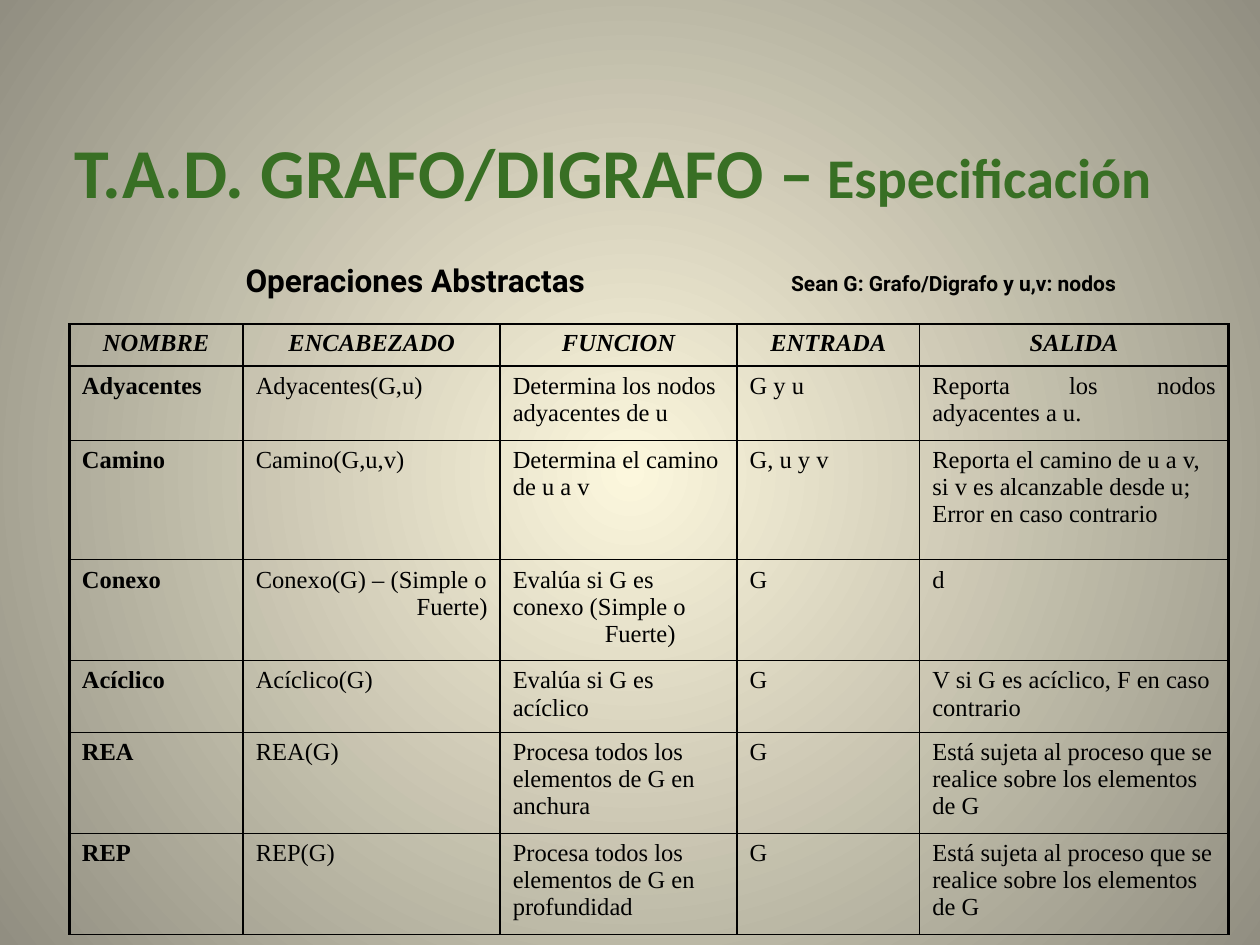
import pptx
import pptx.dml.color
import pptx.enum.text
import pptx.oxml
import pptx.oxml.ns
import pptx.util
import lxml.etree

Inches, Pt = pptx.util.Inches, pptx.util.Pt
RGBColor = pptx.dml.color.RGBColor
ALIGN = pptx.enum.text.PP_ALIGN
ANCHOR = pptx.enum.text.MSO_ANCHOR
qn = pptx.oxml.ns.qn

CREAM = RGBColor(0xFC, 0xF7, 0xDD)
STONE = RGBColor(0x91, 0x8E, 0x81)
GREEN = RGBColor(0x38, 0x6F, 0x24)
BLACK = RGBColor(0, 0, 0)

TITLE = [("T.A.D. GRAFO/DIGRAFO –", 40), (" Especificación", 32)]
SUBTITLE = [("Operaciones Abstractas", 18)]
PREMISE = [("Sean G: Grafo/Digrafo y u,v: nodos", 12)]

HEADINGS = ("NOMBRE", "ENCABEZADO", "FUNCION", "ENTRADA", "SALIDA")
OPERATIONS = [
    ("Adyacentes", "Adyacentes(G,u)", "Determina los nodos adyacentes de u",
     "G y u", "Reporta los nodos adyacentes a u."),
    ("Camino", "Camino(G,u,v)", "Determina el camino de u a v", "G, u y v",
     "Reporta el camino de u a v, si v es alcanzable desde u; Error en caso contrario"),
    ("Conexo", "Conexo(G) – (Simple o\nFuerte)",
     "Evalúa si G es conexo (Simple o\nFuerte)", "G", "d"),
    ("Acíclico", "Acíclico(G)", "Evalúa si G es acíclico", "G",
     "V si G es acíclico, F en caso contrario"),
    ("REA", "REA(G)", "Procesa todos los elementos de G en anchura", "G",
     "Está sujeta al proceso que se realice sobre los elementos de G"),
    ("REP", "REP(G)", "Procesa todos los elementos de G en profundidad", "G",
     "Está sujeta al proceso que se realice sobre los elementos de G"),
]
COLUMN_WIDTHS = (1.38, 2.04, 1.88, 1.45, 2.45)
ROW_HEIGHTS = (0.33, 0.59, 0.95, 0.8, 0.57, 0.8, 0.8)
JUSTIFIED_COLUMNS = (0, 1, 3)
JUSTIFIED_OUTPUT = (1, 4)
FUNCTION_INDENT = 0.73


def style(run, size, font, color, bold=True, italic=False):
    run.font.size = Pt(size)
    run.font.name = font
    run.font.color.rgb = color
    run.font.bold = bold
    run.font.italic = italic


def add_line(slide, box, pieces, font, color, inset=0.1, align=ALIGN.LEFT):
    frame = slide.shapes.add_textbox(*map(Inches, box)).text_frame
    frame.word_wrap = True
    frame.vertical_anchor = ANCHOR.MIDDLE
    frame.margin_left = frame.margin_right = Inches(inset)
    frame.margin_top = frame.margin_bottom = Inches(inset / 2)
    paragraph = frame.paragraphs[0]
    paragraph.alignment = align
    for text, size in pieces:
        run = paragraph.add_run()
        run.text = text
        style(run, size, font, color)


def paint_background(slide):
    fill = slide.background.fill
    fill.gradient()
    for stop, color in zip(fill.gradient_stops, (CREAM, STONE)):
        stop.color.rgb = color
    gradient = slide.element.find(".//" + qn("a:gradFill"))
    gradient.remove(gradient.find(qn("a:lin")))
    circle = lxml.etree.SubElement(gradient, qn("a:path"), {"path": "circle"})
    lxml.etree.SubElement(circle, qn("a:fillToRect"), dict.fromkeys("ltrb", "50000"))


def set_borders(cell, widths):
    properties = cell._tc.get_or_add_tcPr()
    for place, (side, width) in enumerate(widths.items()):
        border = pptx.oxml.parse_xml(
            f'<a:ln{side} {pptx.oxml.ns.nsdecls("a")} w="{Pt(width)}">'
            f'<a:solidFill><a:srgbClr val="{BLACK}"/></a:solidFill></a:ln{side}>')
        properties.insert(place, border)


def fill_cell(cell, text, row, column):
    cell.fill.background()
    cell.text_frame.text = text
    for order, paragraph in enumerate(cell.text_frame.paragraphs):
        if row == 0:
            paragraph.alignment = ALIGN.CENTER
        elif order and column == 1:
            paragraph.alignment = ALIGN.RIGHT
        elif column in JUSTIFIED_COLUMNS or (row, column) == JUSTIFIED_OUTPUT:
            paragraph.alignment = ALIGN.JUSTIFY
        else:
            paragraph.alignment = ALIGN.LEFT
        if order and column == 2:
            paragraph._p.get_or_add_pPr().set("marL", str(Inches(FUNCTION_INDENT)))
        for run in paragraph.runs:
            style(run, 14, "Times New Roman", BLACK,
                  bold=row == 0 or column == 0, italic=row == 0)


def add_operations(slide):
    rows = [HEADINGS] + OPERATIONS
    last_row, last_column = len(rows) - 1, len(HEADINGS) - 1
    table = slide.shapes.add_table(
        len(rows), len(HEADINGS), Inches(0.55), Inches(2.57),
        Inches(sum(COLUMN_WIDTHS)), Inches(sum(ROW_HEIGHTS))).table
    table.first_row = table.horz_banding = False
    for column, width in zip(table.columns, COLUMN_WIDTHS):
        column.width = Inches(width)
    for row, height in zip(table.rows, ROW_HEIGHTS):
        row.height = Inches(height)
    for r, texts in enumerate(rows):
        for c, text in enumerate(texts):
            cell = table.cell(r, c)
            fill_cell(cell, text, r, c)
            set_borders(cell, {
                "L": 2 if c == 0 else 1,
                "R": 2 if c == last_column else 1,
                "T": 1 if r <= 1 else 0.75,
                "B": 1 if r in (0, last_row) else 0.75,
            })


def main():
    deck = pptx.Presentation()
    deck.slide_width, deck.slide_height = Inches(10), Inches(7.5)
    slide = deck.slides.add_slide(deck.slide_layouts[6])
    paint_background(slide)
    add_line(slide, (0.35, 0.99, 9.03, 0.72), TITLE, "Calibri", GREEN,
             inset=0, align=ALIGN.CENTER)
    add_operations(slide)
    add_line(slide, (1.85, 2.02, 3.31, 0.4), SUBTITLE, "Roboto", BLACK)
    add_line(slide, (6.18, 2.1, 3.38, 0.3), PREMISE, "Roboto", BLACK)
    deck.save("out.pptx")


if __name__ == "__main__":
    main()
